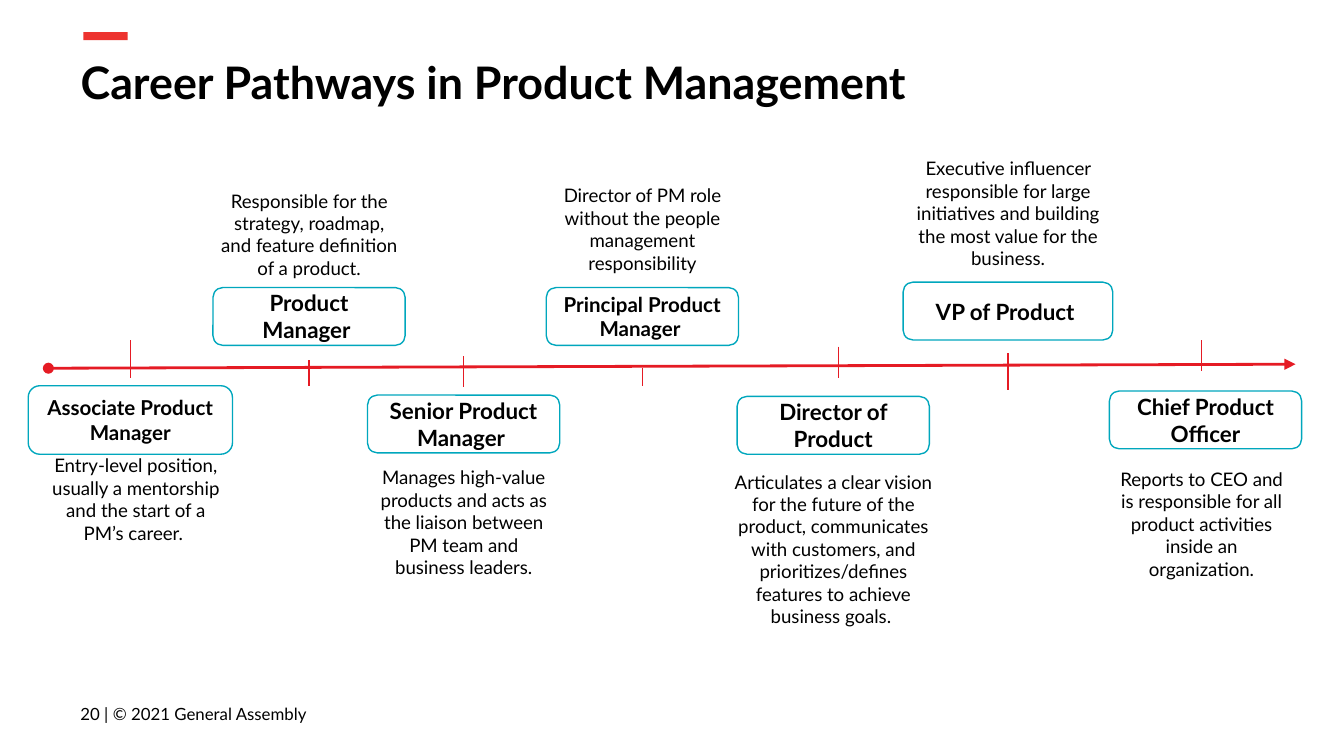
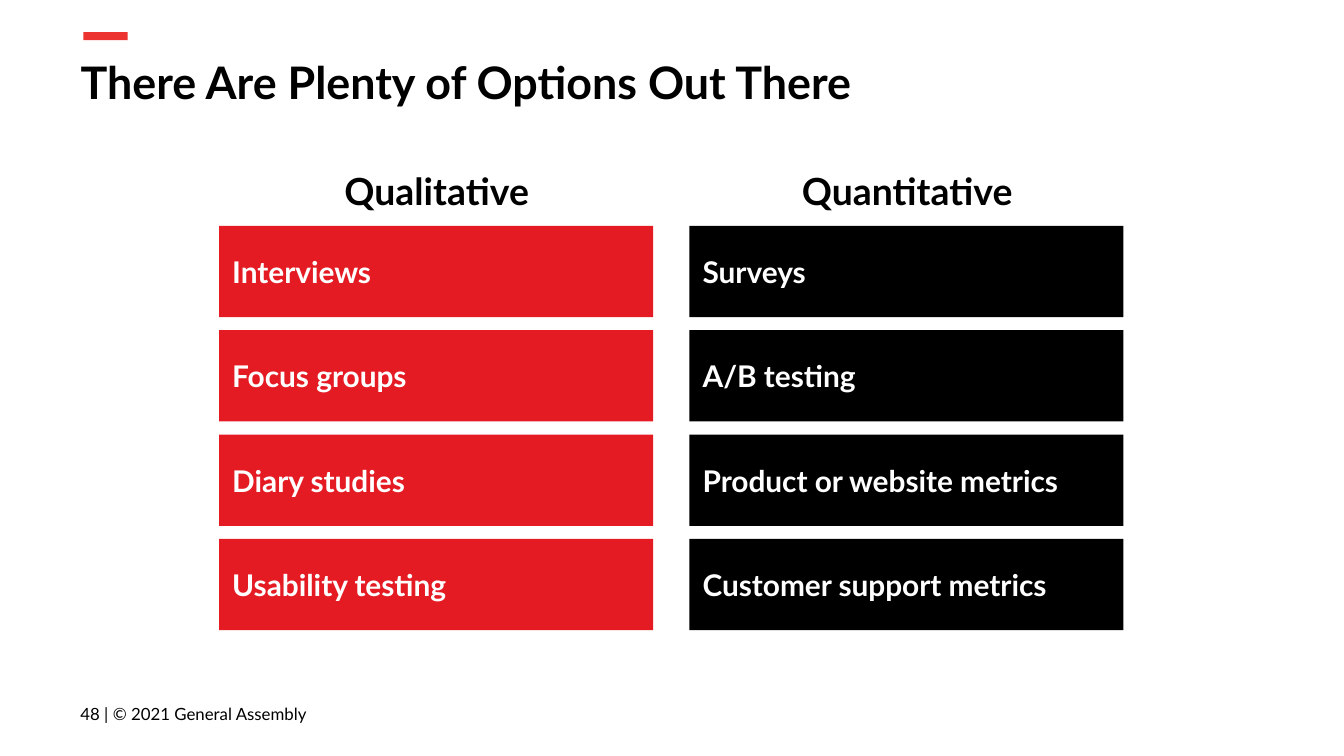
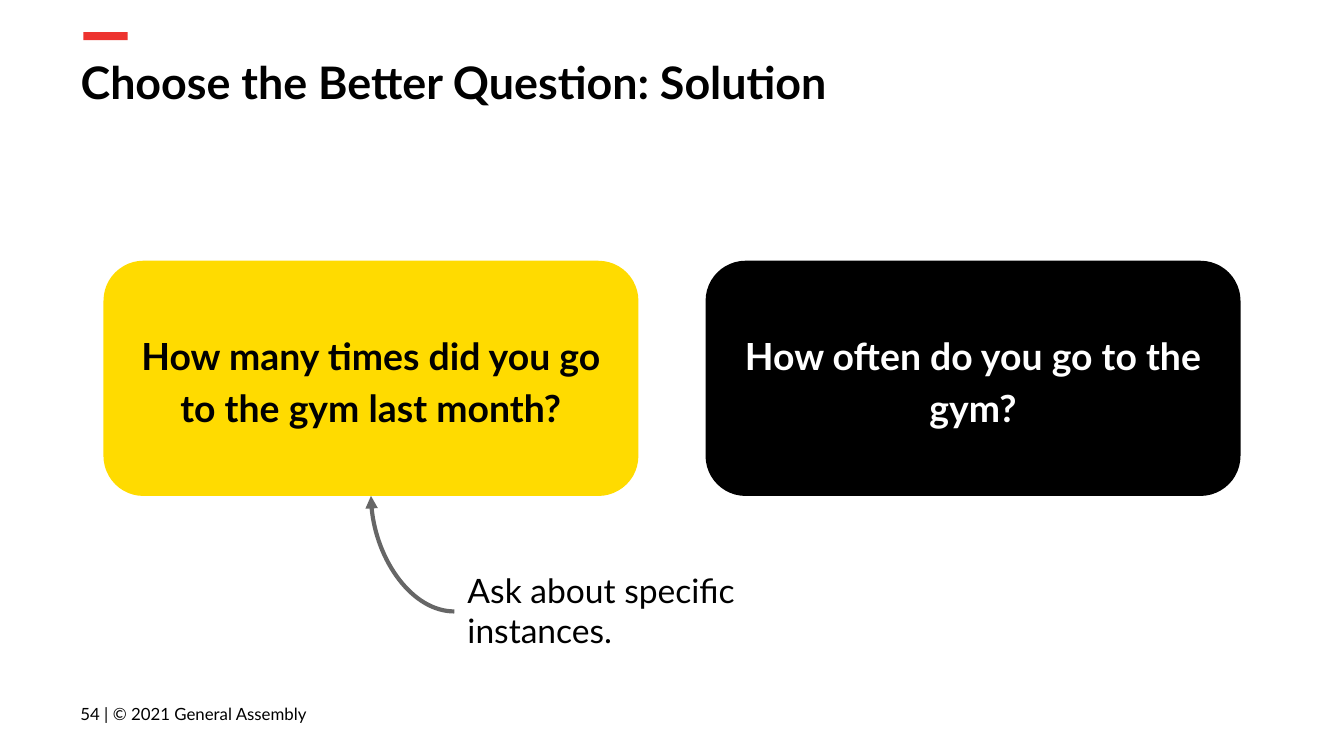
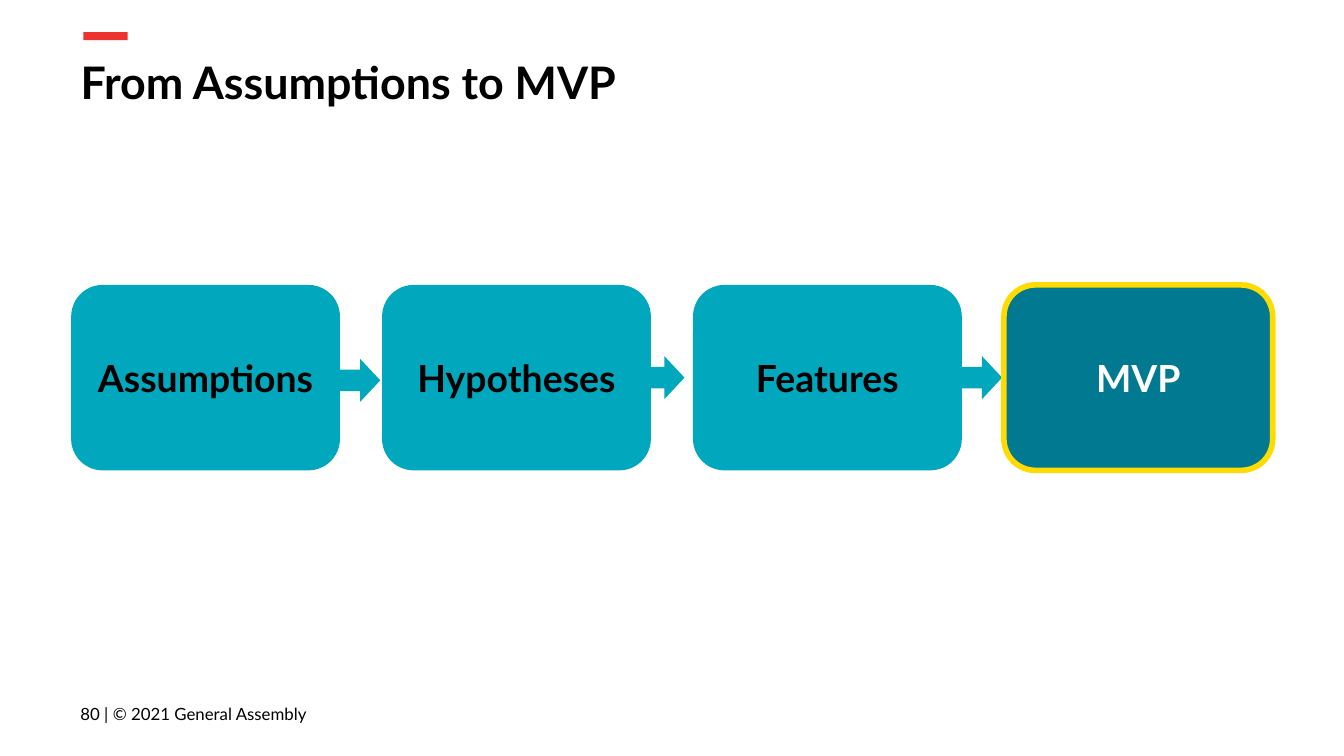
import dataclasses

import pptx
import pptx.dml.color
import pptx.enum.shapes
import pptx.enum.text
import pptx.oxml
import pptx.oxml.ns
import pptx.util

Inches = pptx.util.Inches
SHAPE = pptx.enum.shapes.MSO_SHAPE
CONNECTOR = pptx.enum.shapes.MSO_CONNECTOR
ALIGN = pptx.enum.text.PP_ALIGN
ANCHOR = pptx.enum.text.MSO_ANCHOR


@dataclasses.dataclass(frozen=True)
class Theme:
    """Colours, font and type sizes of the deck."""

    font: str = "Lato"
    black: str = "000000"
    white: str = "FFFFFF"
    accent: str = "ED332F"
    red: str = "E51B24"
    teal: str = "00A7BD"
    deep_teal: str = "017991"
    yellow: str = "FFDB00"
    gray: str = "666666"
    title: int = 24
    heading: int = 20
    note: int = 18
    item: int = 16
    role: int = 12
    long_role: int = 11
    caption: int = 10
    footer: int = 9
    corner: float = 0.17


THEME = Theme()


@dataclasses.dataclass(frozen=True)
class Box:
    """A rectangle in inches."""

    left: float
    top: float
    width: float
    height: float

    def inside(self, left, top, width, height):
        """Return a box placed relative to this one."""
        return Box(self.left + left, self.top + top, width, height)

    def lengths(self):
        """Return left, top, width and height as lengths."""
        return [Inches(value) for value in dataclasses.astuple(self)]


@dataclasses.dataclass(frozen=True)
class Stage:
    """One career stage, placed around its axis on the timeline."""

    role: str
    caption: str
    axis: float
    role_top: float
    caption_top: float
    tick: tuple
    role_width: float = 1.43
    role_height: float = 0.43
    role_size: int = THEME.role
    caption_width: float = 1.52
    caption_shift: float = 0
    caption_fill: str = None
    tick_shift: float = 0


STAGES = [
    Stage("Associate Product Manager",
          "Entry-level position, usually a mentorship and the start of a PM’s career. ",
          0.77, 1.87, 2.28, (1.53, 1.81), role_width=1.52, role_height=0.51,
          role_size=THEME.long_role, caption_shift=0.04, caption_fill=THEME.white),
    Stage("Product Manager ",
          "Responsible for the strategy, roadmap, and feature definition of a product.",
          2.1, 1.14, 0.31, (1.68, 1.87)),
    Stage("Senior Product Manager ",
          "Manages high-value products and acts as the liaison between PM team and "
          "business leaders.",
          3.25, 1.94, 2.37, (1.65, 1.88)),
    Stage("Principal Product Manager ",
          "Director of PM role without the people management responsibility",
          4.58, 1.14, 0.27, (1.74, 1.87), role_size=THEME.long_role),
    Stage("Director of Product",
          "Articulates a clear vision for the future of the product, communicates with "
          "customers, and prioritizes/defines features to achieve business goals. ",
          6.0, 1.95, 2.4, (1.58, 1.81), caption_width=1.69, tick_shift=0.04),
    Stage("VP of Product ",
          "Executive influencer responsible for large initiatives and building the most "
          "value for the business.",
          7.3, 1.1, 0.07, (1.63, 1.9), role_width=1.56, caption_width=1.69),
    Stage("Chief Product Officer",
          "Reports to CEO and is responsible for all product activities inside an "
          "organization.",
          8.77, 1.91, 2.38, (1.53, 1.76), caption_shift=-0.03, tick_shift=-0.03),
]


def rgb(color):
    """Turn a hex string into a colour."""
    return pptx.dml.color.RGBColor.from_string(color)


def write_text(shape, text, size, color=THEME.black, bold=False, align=ALIGN.LEFT,
               anchor=ANCHOR.MIDDLE, spacing=None):
    """Write one formatted paragraph into a shape."""
    frame = shape.text_frame
    frame.word_wrap = True
    frame.auto_size = pptx.enum.text.MSO_AUTO_SIZE.NONE
    frame.vertical_anchor = anchor
    frame.margin_left = frame.margin_right = Inches(0.1)
    frame.margin_top = frame.margin_bottom = Inches(0.1)
    para = frame.paragraphs[0]
    para.alignment = align
    if spacing:
        para.line_spacing = spacing
    span = para.add_run()
    span.text = text
    span.font.name = THEME.font
    span.font.size = pptx.util.Pt(size)
    span.font.bold = bold
    span.font.color.rgb = rgb(color)


def add_label(page, box, text, size, fill=None, **text_format):
    """Add a text box with an optional fill."""
    label = page.shapes.add_textbox(*box.lengths())
    if fill:
        label.fill.solid()
        label.fill.fore_color.rgb = rgb(fill)
    write_text(label, text, size, **text_format)


def add_panel(page, box, kind=SHAPE.RECTANGLE, fill=None, line=None, line_width=0.75):
    """Add a preset shape with an optional fill and outline."""
    panel = page.shapes.add_shape(kind, *box.lengths())
    panel.shadow.inherit = False
    if kind == SHAPE.ROUNDED_RECTANGLE:
        panel.adjustments[0] = THEME.corner
    if fill:
        panel.fill.solid()
        panel.fill.fore_color.rgb = rgb(fill)
    else:
        panel.fill.background()
    if line:
        panel.line.color.rgb = rgb(line)
        panel.line.width = pptx.util.Pt(line_width)
    else:
        panel.line.fill.background()
    return panel


def add_line(page, start, end, color, width, head=None, tail=None, kind=CONNECTOR.STRAIGHT):
    """Add a connector with optional ends."""
    points = [Inches(value) for value in (*start, *end)]
    line = page.shapes.add_connector(kind, *points)
    line.line.color.rgb = rgb(color)
    line.line.width = pptx.util.Pt(width)
    properties = line._element.spPr
    outline = properties.find(pptx.oxml.ns.qn("a:ln"))
    for tag, end_type in (("headEnd", head), ("tailEnd", tail)):
        if end_type:
            outline.append(pptx.oxml.parse_xml(
                f'<a:{tag} {pptx.oxml.ns.nsdecls("a")} type="{end_type}"/>'))
    properties.append(pptx.oxml.parse_xml(
        f'<a:effectLst {pptx.oxml.ns.nsdecls("a")}/>'))
    return line


def add_page(deck, title, number):
    """Add a slide with its title and footer."""
    page = deck.slides.add_slide(deck.slide_layouts[5])
    heading = page.shapes.title
    heading.left, heading.top, heading.width, heading.height = Box(
        0.5, 0.31, 9.32, 0.63).lengths()
    write_text(heading, title, THEME.title, bold=True, anchor=ANCHOR.TOP)
    add_label(page, Box(0.5, 5.1, 2.59, 0.43),
              f"{number} | © 2021 General Assembly", THEME.footer)
    return page


def move_accent_to_layout(page):
    """Draw the accent bar and hand it to the layout that all slides share."""
    bar = add_panel(page, Box(0.62, 0.24, 0.33, 0.06), fill=THEME.accent)
    page.slide_layout.shapes._spTree.append(bar._element)


def draw_timeline(page, box):
    """Draw the career axis with its stages."""
    add_line(page, (box.left + 0.16, box.top + 1.74),
             (box.left + box.width, box.top + 1.71),
             THEME.red, 1.5, head="oval", tail="triangle")
    for stage in STAGES:
        caption_left = stage.axis + stage.caption_shift - stage.caption_width / 2
        add_label(page, box.inside(caption_left, stage.caption_top,
                                   stage.caption_width, 0.93),
                  stage.caption, THEME.caption, fill=stage.caption_fill,
                  align=ALIGN.CENTER, anchor=ANCHOR.TOP)
        tick_left = box.left + stage.axis + stage.tick_shift
        start, end = [(tick_left, box.top + offset) for offset in stage.tick]
        add_line(page, start, end, THEME.red, 0.75)
        role = add_panel(
            page, box.inside(stage.axis - stage.role_width / 2, stage.role_top,
                             stage.role_width, stage.role_height),
            SHAPE.ROUNDED_RECTANGLE, line=THEME.teal)
        write_text(role, stage.role, stage.role_size, bold=True, align=ALIGN.CENTER)


def draw_method_column(page, box, heading, methods, fill):
    """Draw a heading above evenly spaced method bars."""
    add_label(page, box.inside(-0.02, -0.55, box.width + 0.05, 0.53), heading,
              THEME.heading, bold=True, align=ALIGN.CENTER, spacing=1.15)
    height = 0.68
    pitch = (box.height - height) / (len(methods) - 1)
    for row, method in enumerate(methods):
        bar = add_panel(page, box.inside(0, row * pitch, box.width, height), fill=fill)
        write_text(bar, method, THEME.item, color=THEME.white, bold=True)


def draw_questions(page, box):
    """Draw the two questions and the note on the better one."""
    width = 3.98
    questions = [
        ("How many times did you go to the gym last month?", THEME.yellow, THEME.black),
        ("How often do you go to the gym?", THEME.black, THEME.white),
    ]
    for left, (question, fill, color) in zip((0, box.width - width), questions):
        card = add_panel(page, box.inside(left, 0, width, box.height),
                         SHAPE.ROUNDED_RECTANGLE, fill=fill)
        write_text(card, question, THEME.heading, color=color, bold=True,
                   align=ALIGN.CENTER, spacing=1.15)
    draw_note_arrow(page, Box(box.left + width / 2, box.top + box.height, 0.62, 0.86))
    add_label(page, box.inside(2.61, 2.18, 2.31, 0.84),
              "Ask about specific instances.", THEME.note)


def draw_note_arrow(page, box):
    """Draw a quarter curve from the top left to the bottom right of a box."""
    middle_x = box.left + box.width / 2
    middle_y = box.top + box.height / 2
    arrow = add_line(page, (middle_x + box.height / 2, middle_y - box.width / 2),
                     (middle_x - box.height / 2, middle_y + box.width / 2),
                     THEME.gray, 2.25, head="triangle", kind=CONNECTOR.CURVE)
    properties = arrow._element.spPr
    properties.find(pptx.oxml.ns.qn("a:xfrm")).set("rot", str(270 * 60000))
    properties.find(pptx.oxml.ns.qn("a:prstGeom")).set("prst", "curvedConnector2")


def draw_process(page, box):
    """Draw equal step cards joined by block arrows."""
    steps = ["Assumptions", "Hypotheses", "Features", "MVP"]
    width = 2
    pitch = (box.width - width) / (len(steps) - 1)
    for index, (shift, top) in enumerate([(0, 0.55), (-0.05, 0.53), (0, 0.53)]):
        add_panel(page, box.inside(index * pitch + width + shift, top, 0.3, 0.32),
                  SHAPE.RIGHT_ARROW, fill=THEME.teal)
    for index, step in enumerate(steps):
        final = step == steps[-1]
        card = add_panel(page, box.inside(index * pitch, 0, width, box.height),
                         SHAPE.ROUNDED_RECTANGLE,
                         fill=THEME.deep_teal if final else THEME.teal,
                         line=THEME.yellow if final else None, line_width=3)
        write_text(card, step, THEME.heading, bold=True, align=ALIGN.CENTER,
                   color=THEME.white if final else THEME.black)


def main():
    """Build and save the deck."""
    deck = pptx.Presentation()
    deck.slide_width = Inches(10)
    deck.slide_height = deck.slide_width * 9 // 16

    page = add_page(deck, "Career Pathways in Product Management", 20)
    move_accent_to_layout(page)
    draw_timeline(page, Box(0.2, 1, 9.44, 3.4))

    page = add_page(deck, "There Are Plenty of Options Out There", 48)
    draw_method_column(page, Box(1.63, 1.68, 3.23, 3.01), "Qualitative",
                       ["Interviews", "Focus groups", "Diary studies",
                        "Usability testing"], THEME.red)
    draw_method_column(page, Box(5.13, 1.68, 3.23, 3.01), "Quantitative",
                       ["Surveys", "A/B testing", "Product or website metrics",
                        "Customer support metrics"], THEME.black)

    page = add_page(deck, "Choose the Better Question: Solution", 54)
    draw_questions(page, Box(0.77, 1.94, 8.46, 1.75))

    page = add_page(deck, "From Assumptions to MVP", 80)
    draw_process(page, Box(0.53, 2.12, 8.94, 1.38))

    deck.save("out.pptx")


if __name__ == "__main__":
    main()
